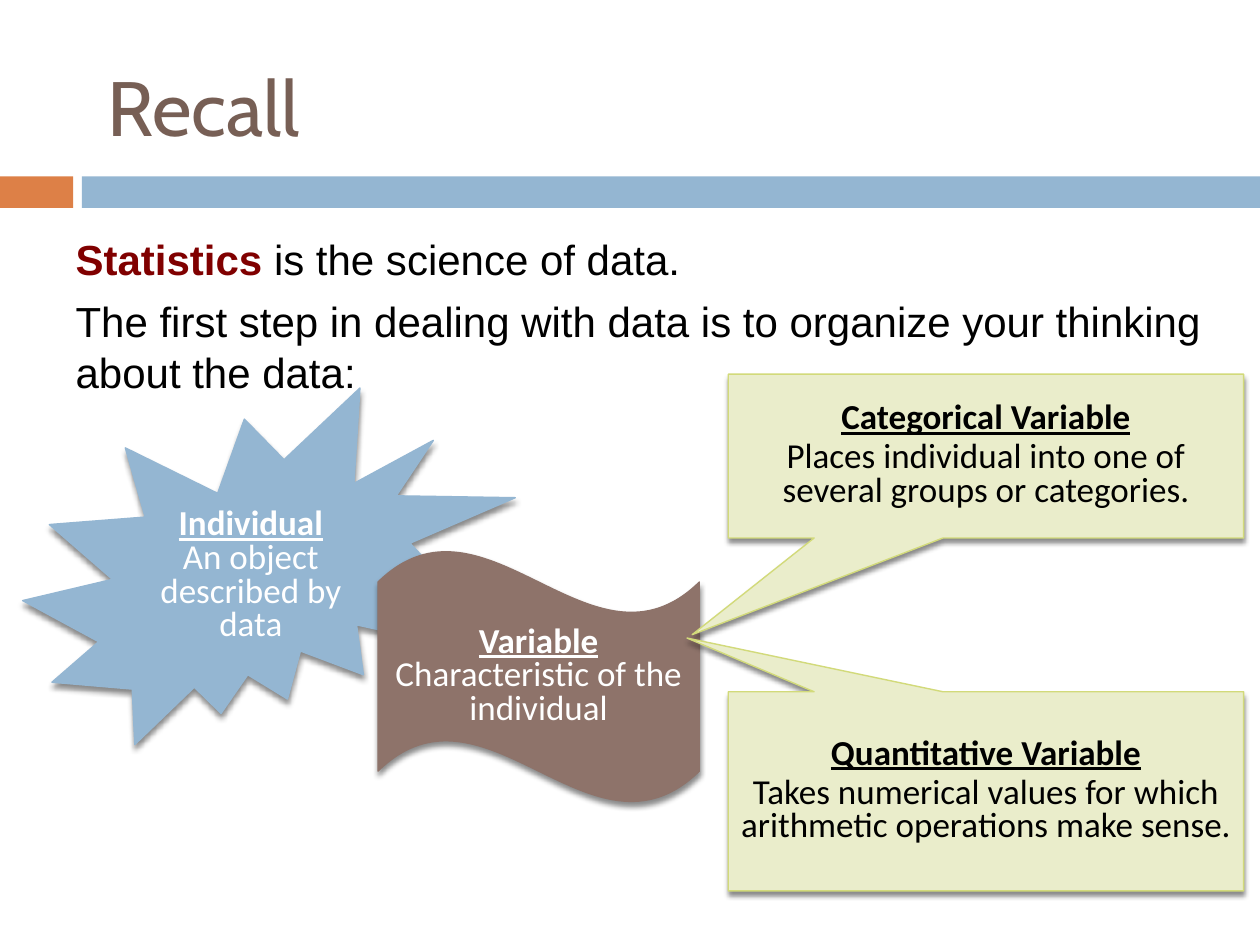
from lxml.etree import SubElement
from pptx import Presentation
from pptx.dml.color import RGBColor
from pptx.enum.shapes import MSO_SHAPE
from pptx.enum.text import MSO_ANCHOR, MSO_AUTO_SIZE, PP_ALIGN
from pptx.oxml.ns import qn
from pptx.util import Pt

PX = 9144
ORANGE = RGBColor(0xDD, 0x80, 0x47)
BLUE = RGBColor(0x94, 0xB6, 0xD2)
BROWN = RGBColor(0x8E, 0x73, 0x6A)
TITLE_BROWN = RGBColor(0x77, 0x5F, 0x55)
MAROON = RGBColor(0x80, 0x00, 0x00)
LIME = RGBColor(0xEA, 0xED, 0xCB)
LIME_EDGE = RGBColor(0xD2, 0xDA, 0x7A)
BLACK = RGBColor(0, 0, 0)
WHITE = RGBColor(0xFF, 0xFF, 0xFF)


def place(sp, box):
    """Move a shape to a box of left, top, width and height in px."""
    sp.left, sp.top, sp.width, sp.height = (v * PX for v in box)


def add_run(p, text, font, size, color, bold=False, underline=False):
    """Add one formatted run to a paragraph."""
    r = p.add_run()
    r.text = text
    r.font.name, r.font.size = font, Pt(size)
    r.font.bold, r.font.underline = bold, underline
    r.font.color.rgb = color


def add_filled(s, kind, box, fill, line=None):
    """Add a preset shape with a solid fill and an optional thin line."""
    sp = s.shapes.add_shape(kind, *(v * PX for v in box))
    sp.shadow.inherit = False
    sp.fill.solid()
    sp.fill.fore_color.rgb = fill
    if line is None:
        sp.line.fill.background()
    else:
        sp.line.color.rgb = line
        sp.line.width = Pt(0.79)
    return sp


def add_shadow(sp):
    """Give a shape a soft shadow that falls straight down."""
    effects = sp.element.spPr.find(qn("a:effectLst"))
    shadow = SubElement(effects, qn("a:outerShdw"), blurRad=str(Pt(3)),
                        dist=str(Pt(2.4)), dir="5400000", rotWithShape="0")
    color = SubElement(shadow, qn("a:srgbClr"), val="000000")
    SubElement(color, qn("a:alpha"), val="45000")


def add_header(s, box):
    """Fill the title and draw the two-colour band under it."""
    left, top, width, height = box
    band_top, band_height, tab, gap = top + 140, 25, 58, 7
    add_filled(s, MSO_SHAPE.RECTANGLE, (left, band_top, tab, band_height), ORANGE)
    add_filled(s, MSO_SHAPE.RECTANGLE,
               (left + tab + gap, band_top, width - tab - gap, band_height), BLUE)
    title = s.shapes.title
    place(title, (left + 75, top + 17, width - 150, height - 32))
    tf = title.text_frame
    tf.vertical_anchor = MSO_ANCHOR.MIDDLE
    p = tf.paragraphs[0]
    p.alignment = PP_ALIGN.LEFT
    add_run(p, "Recall", "Cabin", 44, TITLE_BROWN)


def add_intro(s, box):
    """Fill the body with unbulleted paragraphs of (text, colour, bold) runs."""
    body = s.placeholders[1]
    place(body, box)
    tf = body.text_frame
    tf.auto_size = MSO_AUTO_SIZE.NONE
    paragraphs = [
        [("Statistics ", MAROON, True), ("is the science of data.", BLACK, False)],
        [("The first step in dealing with data is to organize your thinking "
          "about the data:", BLACK, False)],
    ]
    for i, runs in enumerate(paragraphs):
        p = tf.add_paragraph() if i else tf.paragraphs[0]
        p.space_before = Pt(7)
        pPr = p._p.get_or_add_pPr()
        pPr.set("marL", "0")
        pPr.set("indent", "0")
        SubElement(pPr, qn("a:buNone"))
        for text, color, bold in runs:
            add_run(p, text, "Arial", 24, color, bold)


def add_term(s, kind, box, fill, line, color, term, meaning,
             adjustments=(), term_spacing=0.8, gap=0):
    """Add a shadowed shape with an underlined term over its meaning."""
    sp = add_filled(s, kind, box, fill, line)
    add_shadow(sp)
    for i, value in enumerate(adjustments):
        sp.adjustments[i] = value
    tf = sp.text_frame
    tf.word_wrap = True
    tf.vertical_anchor = MSO_ANCHOR.MIDDLE
    p = tf.paragraphs[0]
    p.alignment, p.line_spacing = PP_ALIGN.CENTER, term_spacing
    add_run(p, term, "Calibri", 20, color, True, True)
    p = tf.add_paragraph()
    p.alignment, p.line_spacing, p.space_before = PP_ALIGN.CENTER, 0.8, Pt(gap)
    add_run(p, meaning, "Calibri", 20, color)


def add_callout(s, box, pointer, term, meaning):
    """Add a lime callout for one type of variable."""
    add_term(s, MSO_SHAPE.RECTANGULAR_CALLOUT, box, LIME, LIME_EDGE, BLACK,
             term, meaning, pointer, gap=3)


def main():
    """Build the slide and save it."""
    prs = Presentation()
    prs.slide_width, prs.slide_height = 1000 * PX, 750 * PX
    s = prs.slides.add_slide(prs.slide_layouts[1])
    add_header(s, (0, 0, 1000, 165))
    add_intro(s, (50, 180, 920, 152))
    add_term(s, MSO_SHAPE.EXPLOSION2, (18, 308, 391, 283), BLUE, BLUE, WHITE,
             "Individual", "An object described by data", term_spacing=1.0)
    add_term(s, MSO_SHAPE.WAVE, (300, 437, 255, 200), BROWN, BROWN, WHITE,
             "Variable", "Characteristic of the individual", (0.125, 0))
    add_callout(s, (578, 297, 409, 130), (-0.57, 1.09), "Categorical Variable",
                "Places individual into one of several groups or categories.")
    add_callout(s, (578, 549, 409, 158), (-0.58, -0.77), "Quantitative Variable",
                "Takes numerical values for which arithmetic operations make sense.")
    prs.save("out.pptx")


if __name__ == "__main__":
    main()
